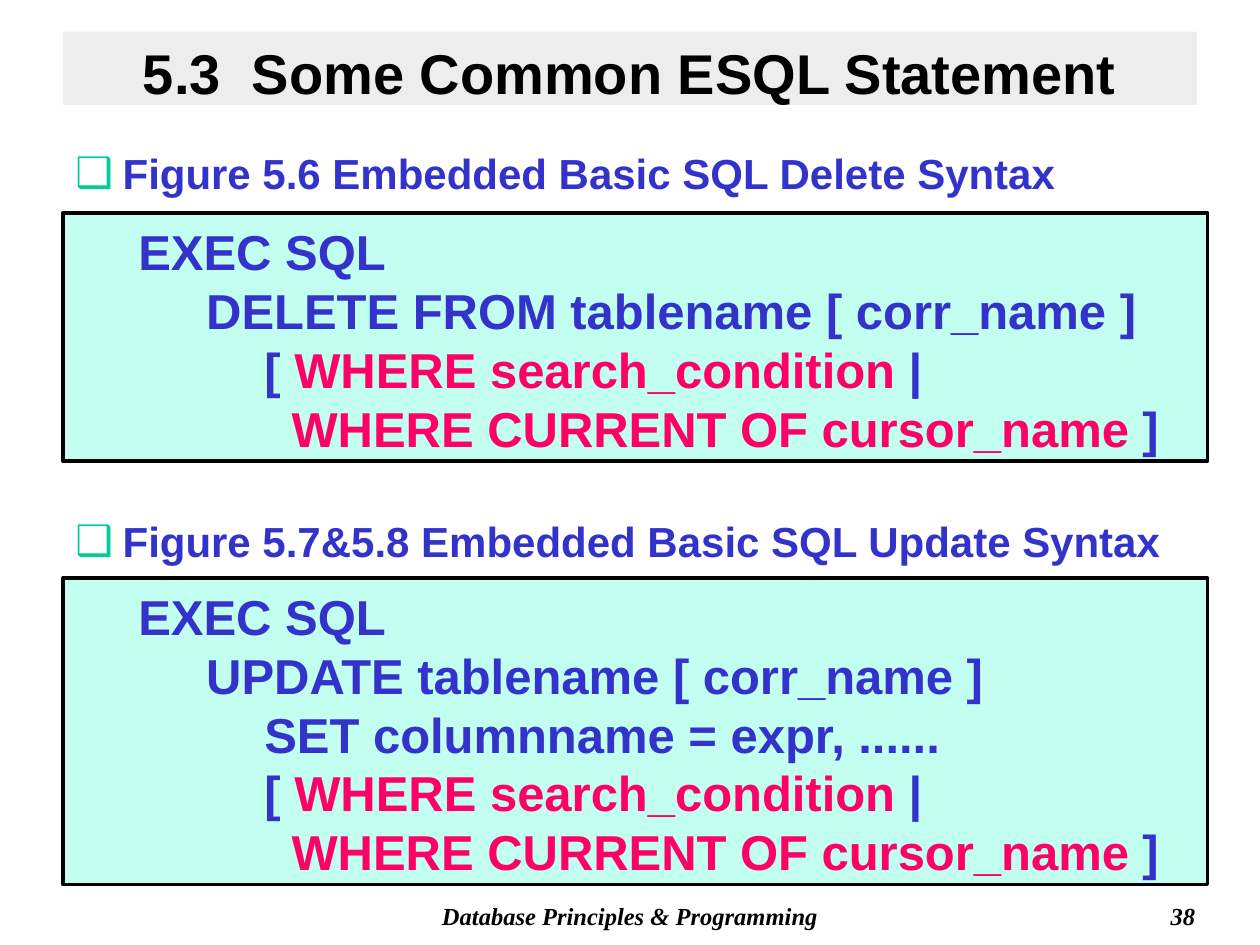
from lxml.etree import SubElement
from pptx import Presentation
from pptx.dml.color import RGBColor
from pptx.enum.shapes import MSO_SHAPE
from pptx.enum.text import MSO_ANCHOR, MSO_AUTO_SIZE, PP_ALIGN
from pptx.oxml.ns import qn
from pptx.util import Pt

BLACK, BLUE, PINK = "000000", "3333CC", "FF0066"
GREEN, MINT, GREY = "00CC99", "C2FFF0", "DDDDDD"


def color(value):
    return RGBColor.from_string(value)


def add_text(p, text, font="Arial", size=28, fill=BLUE, italic=False):
    r = p.add_run()
    r.text = text
    f = r.font
    f.name, f.size, f.bold, f.italic = font, Pt(size), True, italic
    f.color.rgb = color(fill)


def set_indent(p, left, first=0):
    pPr = p._p.get_or_add_pPr()
    pPr.set("marL", str(Pt(left)))
    pPr.set("indent", str(Pt(first)))
    return pPr


class SlideBuilder:
    def __init__(self, prs):
        self.s = prs.slides.add_slide(prs.slide_layouts[5])

    def frame(self, sp, top, bottom=3.6, anchor=MSO_ANCHOR.TOP):
        tf = sp.text_frame
        tf.word_wrap = True
        tf.auto_size = MSO_AUTO_SIZE.NONE
        tf.vertical_anchor = anchor
        tf.margin_left = tf.margin_right = Pt(7.2)
        tf.margin_top, tf.margin_bottom = Pt(top), Pt(bottom)
        return tf

    def title(self, text):
        sp = self.s.shapes.title
        sp.left, sp.top, sp.width, sp.height = Pt(36), Pt(18), Pt(648), Pt(42)
        sp.fill.solid()
        sp.fill.fore_color.rgb = color(GREY)
        rgb = sp._element.spPr.find(".//" + qn("a:srgbClr"))
        SubElement(rgb, qn("a:alpha"), val="50000")
        p = self.frame(sp, 4, 0, MSO_ANCHOR.MIDDLE).paragraphs[0]
        p.alignment = PP_ALIGN.CENTER
        add_text(p, text, size=32, fill=BLACK)

    def heading(self, text, top):
        sp = self.s.shapes.add_textbox(Pt(36), Pt(top), Pt(648), Pt(40))
        p = self.frame(sp, 6.5).paragraphs[0]
        pPr = set_indent(p, 27, -27)
        bullet_color = SubElement(pPr, qn("a:buClr"))
        SubElement(bullet_color, qn("a:srgbClr"), val=GREEN)
        SubElement(pPr, qn("a:buFont"), typeface="Arial")
        SubElement(pPr, qn("a:buChar"), char="❑")
        add_text(p, text, size=24)

    def code(self, lines, top, height):
        sp = self.s.shapes.add_shape(
            MSO_SHAPE.RECTANGLE, Pt(36), Pt(top), Pt(654), Pt(height))
        sp.shadow.inherit = False
        sp.fill.solid()
        sp.fill.fore_color.rgb = color(MINT)
        sp.line.color.rgb = color(BLACK)
        sp.line.width = Pt(2)
        tf = self.frame(sp, 5, 2)
        for i, (indent, runs) in enumerate(lines):
            p = tf.add_paragraph() if i else tf.paragraphs[0]
            set_indent(p, indent)
            p.alignment = PP_ALIGN.LEFT
            p.line_spacing = Pt(33.6)
            for text, fill in runs:
                add_text(p, text, fill=fill)

    def footer(self, text, left, width, align):
        sp = self.s.shapes.add_textbox(Pt(left), Pt(510), Pt(width), Pt(24))
        p = self.frame(sp, 5).paragraphs[0]
        p.alignment = align
        add_text(p, text, font="Times New Roman", size=14, fill=BLACK, italic=True)


def statement(first, *clauses):
    """Lines of an embedded statement, each as (indent, runs)."""
    return [
        (36, [("EXEC SQL", BLUE)]),
        (36, [("     " + first, BLUE)]),
        *[(108, [(clause, BLUE)]) for clause in clauses],
        (108, [("[ ", BLUE), ("WHERE search_condition", PINK), (" |", BLUE)]),
        (108, [("  ", BLUE), ("WHERE CURRENT OF cursor_name", PINK), (" ]", BLUE)]),
    ]


def main():
    prs = Presentation()
    prs.slide_width, prs.slide_height = Pt(720), Pt(540)
    b = SlideBuilder(prs)

    # Footer and page number
    b.footer("Database Principles & Programming", 204, 312, PP_ALIGN.CENTER)
    b.footer("38", 540, 150, PP_ALIGN.RIGHT)

    b.title("5.3  Some Common ESQL Statement")

    # Delete syntax
    b.heading("Figure 5.6 Embedded Basic SQL Delete Syntax", 78)
    b.code(statement("DELETE FROM tablename [ corr_name ]"), 121.8, 141.8)

    # Update syntax
    b.heading("Figure 5.7&5.8 Embedded Basic SQL Update Syntax", 288)
    b.code(statement("UPDATE tablename [ corr_name ]",
                     "SET columnname = expr, ......"), 330.2, 175.4)

    prs.save("out.pptx")


if __name__ == "__main__":
    main()
